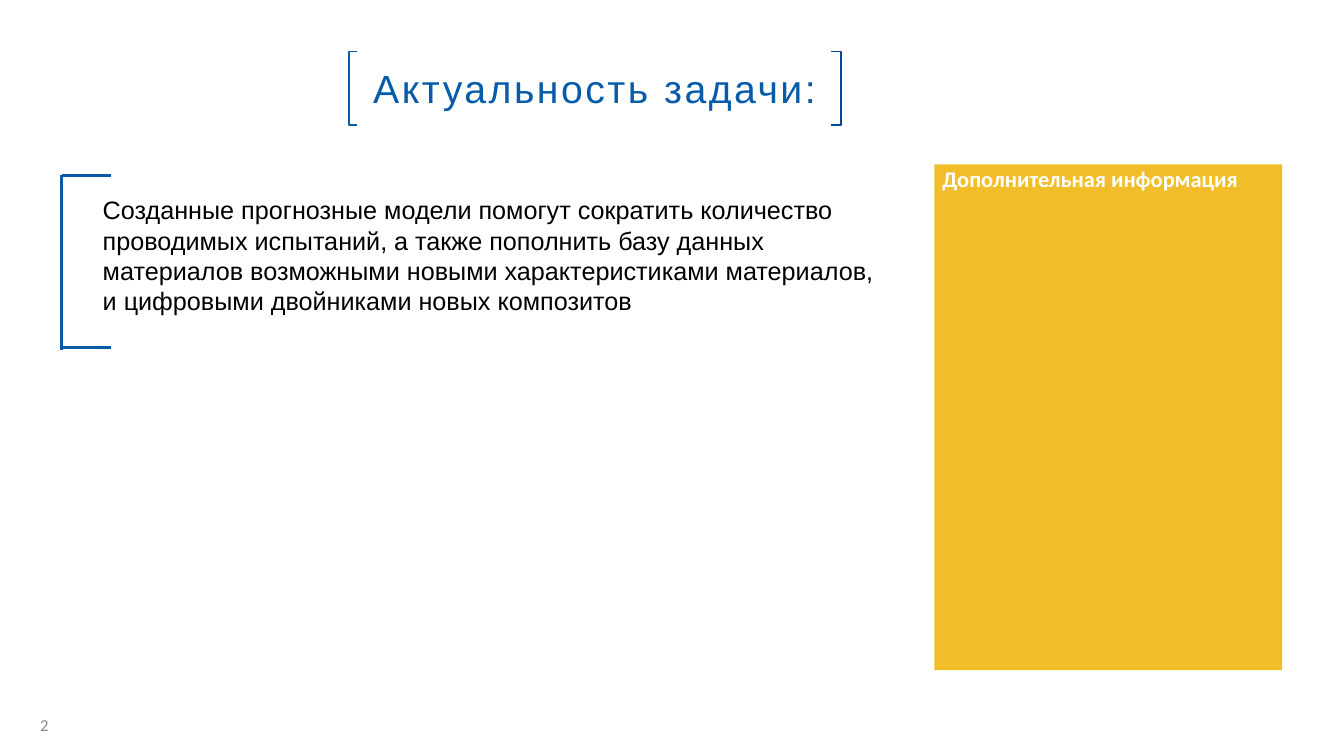
"""Builds the slide on the relevance of the task, with a yellow side panel."""
from lxml.etree import SubElement
from pptx import Presentation
from pptx.dml.color import RGBColor
from pptx.enum.shapes import MSO_CONNECTOR, MSO_SHAPE
from pptx.enum.text import MSO_ANCHOR, MSO_AUTO_SIZE, PP_ALIGN
from pptx.oxml.ns import qn
from pptx.util import Cm, Pt

COLORS = {"blue": "065CAB", "navy": "0046A2", "yellow": "F1BE29",
          "white": "FFFFFF", "black": "000000", "gray": "8C8C8C"}

HEADING = "Актуальность задачи:"
RELEVANCE = ("Созданные прогнозные модели помогут сократить количество проводимых "
             "испытаний, а также пополнить базу данных материалов возможными новыми "
             "характеристиками материалов, и цифровыми двойниками новых композитов")
PANEL_HEADING = "Дополнительная информация"
PAGE_NUMBER = "2"

HEADING_BOX = (8.79, 1.3, 12.4, 1.85)
RELEVANCE_BOX = (2.34, 4.78, 20.29, 3.33)
PANEL_BOX = (23.55, 4.14, 8.76, 12.75)
PAGE_NUMBER_BOX = (0.76, 17.88, 1.57, 0.76)

left, top, width, height = HEADING_BOX
right, bottom = left + width, top + height
HEADING_BRACKETS = [(left, left + 0.22, "blue"), (right, right - 0.25, "navy")]

SPINE_X, ARM_X = 1.55, 2.79
SPINE_TOP, SPINE_BOTTOM, LOWER_ARM_Y = 4.42, 8.81, 8.76
RELEVANCE_BRACKET = [
    (SPINE_X, SPINE_TOP, SPINE_X, SPINE_BOTTOM),
    (SPINE_X, SPINE_TOP, ARM_X, SPINE_TOP),
    (SPINE_X, LOWER_ARM_Y, ARM_X, LOWER_ARM_Y),
]


def rgb(name):
    return RGBColor.from_string(COLORS[name])


def cm(lengths):
    return [Cm(length) for length in lengths]


def write(shape, text, size, color, font="Arial", bold=False,
          align=PP_ALIGN.LEFT, anchor=MSO_ANCHOR.TOP):
    frame = shape.text_frame
    frame.text = text
    frame.word_wrap = True
    frame.auto_size = MSO_AUTO_SIZE.NONE
    frame.vertical_anchor = anchor
    paragraph = frame.paragraphs[0]
    paragraph.alignment = align
    paragraph.font.name = font
    paragraph.font.size = Pt(size)
    paragraph.font.bold = bold
    paragraph.font.color.rgb = rgb(color)
    return paragraph


def draw_line(shape, color, points):
    shape.line.color.rgb = rgb(color)
    shape.line.width = Pt(points)


presentation = Presentation()
presentation.slide_width, presentation.slide_height = Cm(33.87), Cm(19.05)
slide = presentation.slides.add_slide(presentation.slide_layouts[5])
shapes = slide.shapes

heading = shapes.title
heading.left, heading.top, heading.width, heading.height = cm(HEADING_BOX)
heading.fill.solid()
heading.fill.fore_color.rgb = rgb("white")
draw_line(heading, "white", 1)
heading_line = write(heading, HEADING, 28, "blue",
                     align=PP_ALIGN.CENTER, anchor=MSO_ANCHOR.MIDDLE)
heading_line.runs[0].font._element.set("spc", "180")

for spine, tip, color in HEADING_BRACKETS:
    outline = shapes.build_freeform(Cm(tip), Cm(top))
    outline.add_line_segments(
        [cm(point) for point in [(spine, top), (spine, bottom), (tip, bottom)]],
        close=False)
    bracket = outline.convert_to_shape()
    bracket.shadow.inherit = False
    bracket.fill.background()
    draw_line(bracket, color, 1.3)

page_number = shapes.add_textbox(*cm(PAGE_NUMBER_BOX))
write(page_number, PAGE_NUMBER, 12, "gray", "Calibri", anchor=MSO_ANCHOR.MIDDLE)

relevance = shapes.add_textbox(*cm(RELEVANCE_BOX))
write(relevance, RELEVANCE, 18, "black")

panel = shapes.add_shape(MSO_SHAPE.RECTANGLE, *cm(PANEL_BOX))
panel.shadow.inherit = False
panel.fill.solid()
panel.fill.fore_color.rgb = rgb("yellow")
panel.line.fill.background()
panel_line = write(panel, PANEL_HEADING, 16, "white", "Calibri", bold=True,
                   align=PP_ALIGN.JUSTIFY)
panel_line.line_spacing = 0.9
panel_text = panel.text_frame
panel_text.margin_left = panel_text.margin_right = Cm(0.2)
panel_text.margin_top = panel_text.margin_bottom = Cm(0.1)

for ends in RELEVANCE_BRACKET:
    stroke = shapes.add_connector(MSO_CONNECTOR.STRAIGHT, *cm(ends))
    draw_line(stroke, "blue", 2.25)
    SubElement(stroke._element.spPr, qn("a:effectLst"))

presentation.save("out.pptx")
